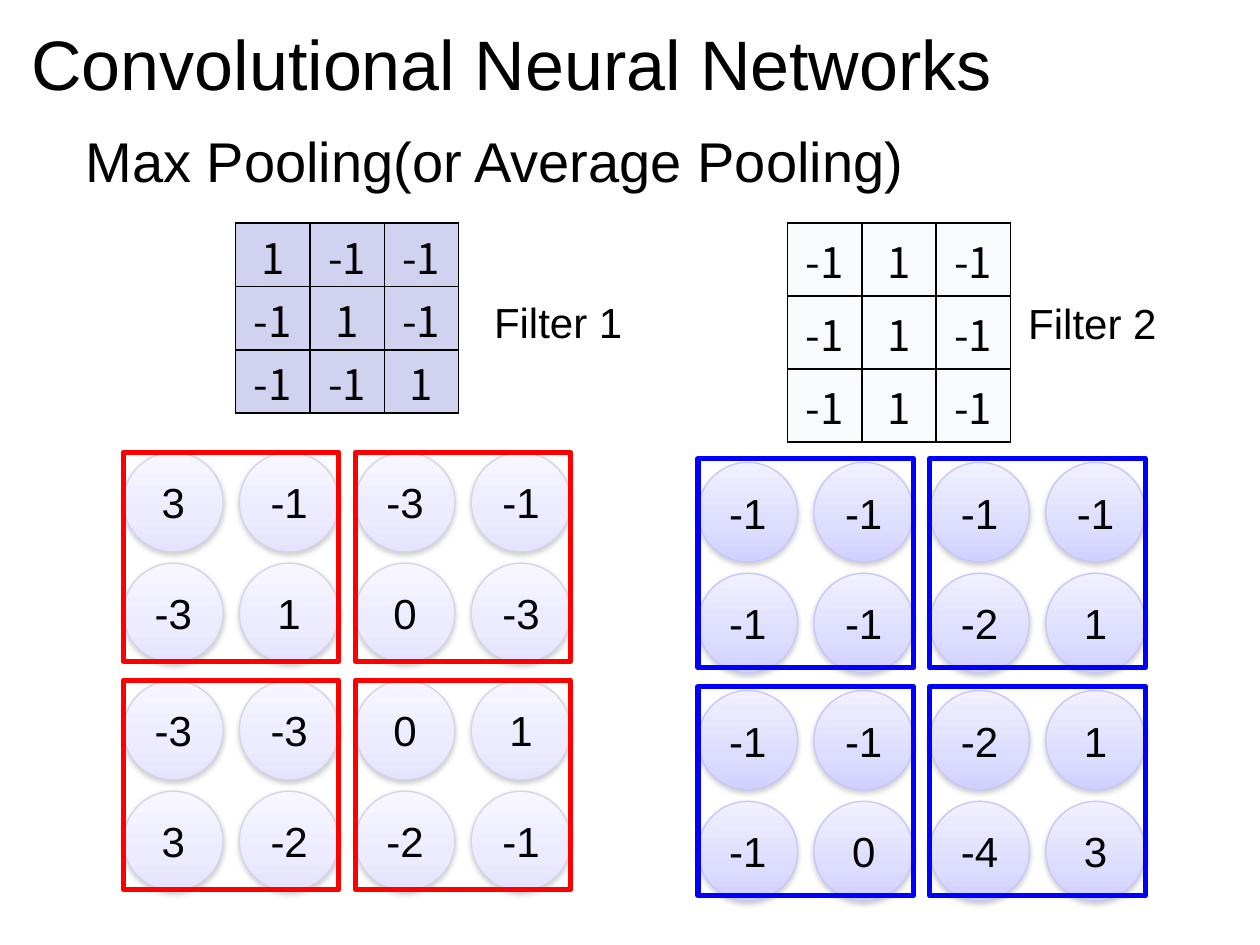
import copy
import lxml.etree
import pptx
import pptx.chart.data
import pptx.dml.color
import pptx.enum.shapes
import pptx.enum.text
import pptx.oxml.ns
import pptx.util

Inches = pptx.util.Inches
Pt = pptx.util.Pt
qn = pptx.oxml.ns.qn
Align = pptx.enum.text.PP_ALIGN
Anchor = pptx.enum.text.MSO_ANCHOR
Kind = pptx.enum.shapes.MSO_SHAPE

BLACK = "000000"
BALL = 0.79
STEP = 0.92
PAIR = 0.88
BLOCK = (1.84, 1.81)
FRAME = (1.71, 1.66)


def color(code):
    return pptx.dml.color.RGBColor.from_string(code)


def write(frame, text, size, font="Arial", align=Align.LEFT):
    para = frame.paragraphs[0]
    para.alignment = align
    run = para.add_run()
    run.text = text
    run.font.size = Pt(size)
    run.font.name = font
    run.font.color.rgb = color(BLACK)
    return para


def node(parent, tag, **attrs):
    child = lxml.etree.SubElement(parent, qn(tag))
    for key, value in attrs.items():
        child.set(key, str(value))
    return child


def heading(slide, box, text):
    title = slide.shapes.title
    title.left, title.top, title.width, title.height = map(Inches, box)
    frame = title.text_frame
    frame.auto_size = pptx.enum.text.MSO_AUTO_SIZE.NONE
    frame.vertical_anchor = Anchor.TOP
    frame.margin_left = Inches(0.25)
    frame.margin_top = Inches(0.1)
    write(frame, text, 40)


def label(slide, box, text, size, align=Align.LEFT):
    frame = slide.shapes.add_textbox(*map(Inches, box)).text_frame
    frame.word_wrap = True
    frame.margin_top = Inches(0.08)
    write(frame, text, size, align=align)


def border(cell):
    props = cell._tc.get_or_add_tcPr()
    for place, side in enumerate(("a:lnL", "a:lnR", "a:lnT", "a:lnB")):
        line = node(props, side, w=Pt(1))
        node(node(line, "a:solidFill"), "a:srgbClr", val=BLACK)
        props.insert(place, line)


def kernel(slide, left, top, rows, fill, height, tight=False):
    """Place a table of filter weights; tight fixes the line height."""
    side = 0.59
    table = slide.shapes.add_table(
        len(rows), len(rows[0]), Inches(left), Inches(top),
        Inches(side * len(rows[0])), Inches(height * len(rows))).table
    table.first_row = table.horz_banding = False
    for col in table.columns:
        col.width = Inches(side)
    for r, row in enumerate(rows):
        table.rows[r].height = Inches(height)
        for c, value in enumerate(row):
            cell = table.cell(r, c)
            cell.fill.solid()
            cell.fill.fore_color.rgb = color(fill)
            para = write(cell.text_frame, str(value), 24,
                         "Noto Sans CJK KR", Align.CENTER)
            if tight:
                para.line_spacing = Pt(29)
                cell.margin_top = Inches(0.1)
                cell.margin_bottom = 0
            border(cell)


def ball(slide, left, top, value, shades, edge):
    shape = slide.shapes.add_shape(
        Kind.OVAL, *map(Inches, (left, top, BALL, BALL)))
    shape.fill.gradient()
    shape.fill.gradient_angle = 270
    props = shape._element.spPr
    stops = props.find(".//" + qn("a:gsLst"))
    stops.append(copy.deepcopy(stops[-1]))
    for stop, shade, spot in zip(shape.fill.gradient_stops, shades,
                                 (0, 0.65, 1)):
        stop.color.rgb = color(shade)
        stop.position = spot
    shape.line.color.rgb = color(edge)
    shape.line.width = Pt(0.75)
    shape.shadow.inherit = False
    shade = node(props.find(qn("a:effectLst")), "a:outerShdw",
                 blurRad=Pt(3.1), dist=Pt(1.6), dir=5400000, rotWithShape=0)
    node(node(shade, "a:srgbClr", val="808080"), "a:alpha", val=38000)
    frame = shape.text_frame
    frame.margin_left = frame.margin_right = 0
    frame.vertical_anchor = Anchor.MIDDLE
    write(frame, str(value), 24, align=Align.CENTER)


def pool(slide, left, top, rows, shades, edge, ink, lift=0):
    """Place a feature map and the frames of its 2 by 2 pooling blocks."""
    for r, row in enumerate(rows):
        down = top + r // 2 * BLOCK[1] + r % 2 * PAIR
        for c, value in enumerate(row):
            ball(slide, left + c * STEP, down, value, shades, edge)
    for r in range(2):
        for c in range(2):
            spot = (left + c * BLOCK[0], top - lift + r * BLOCK[1])
            frame = slide.shapes.add_shape(
                Kind.RECTANGLE, *map(Inches, spot + FRAME))
            frame.shadow.inherit = False
            frame.fill.background()
            frame.line.color.rgb = color(ink)
            frame.line.width = Pt(3)


def main():
    deck = pptx.Presentation()
    deck.slide_width, deck.slide_height = Inches(10), Inches(7.5)
    slide = deck.slides.add_slide(deck.slide_layouts[5])
    heading(slide, (0, 0.06, 10, 0.85), "Convolutional Neural Networks")
    label(slide, (0.58, 0.92, 8.62, 0.75),
          "Max Pooling(or Average Pooling)", 32)

    kernel(slide, 1.87, 1.77, [(1, -1, -1), (-1, 1, -1), (-1, -1, 1)],
           "D1D1F0", 0.5, tight=True)
    label(slide, (3.64, 2.27, 1.58, 0.51), "Filter 1", 24, Align.CENTER)
    kernel(slide, 6.25, 1.77, [(-1, 1, -1)] * 3, "F8FBFC", 0.58)
    label(slide, (7.88, 2.28, 1.58, 0.51), "Filter 2", 24, Align.CENTER)

    pool(slide, 0.98, 3.59,
         [(3, -1, -3, -1), (-3, 1, 0, -3), (-3, -3, 0, 1), (3, -2, -2, -1)],
         ("F7F6FF", "ECEBFF", "E5E3FF"), "D4D3E7", "FF0000")
    pool(slide, 5.54, 3.67,
         [(-1, -1, -1, -1), (-1, -1, -2, 1), (-1, -1, -2, 1), (-1, 0, -4, 3)],
         ("F0F0FF", "DDDDFF", "D0D0FF"), "C6C6FB", "0000FF", lift=0.03)
    deck.save("out.pptx")


if __name__ == "__main__":
    main()
